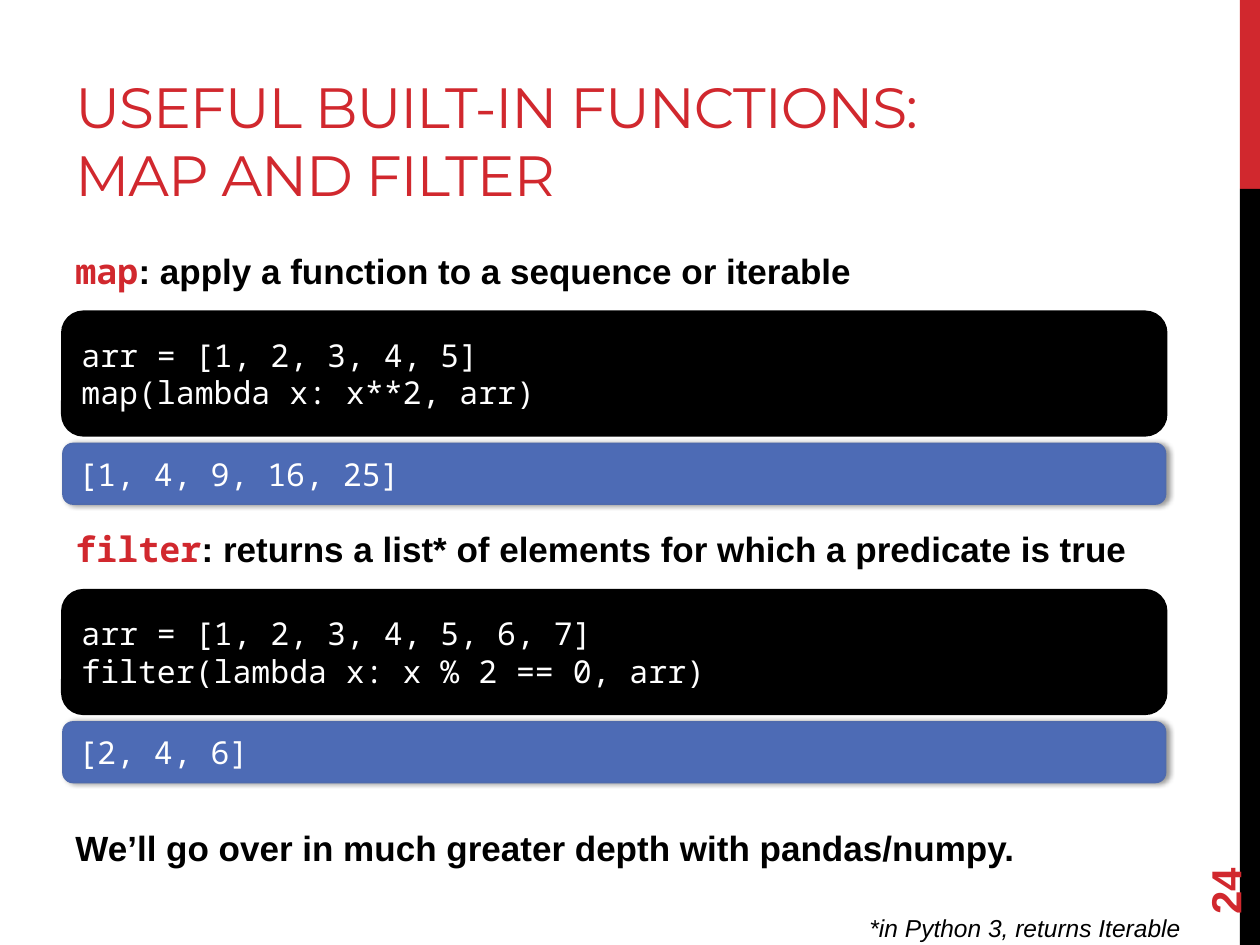
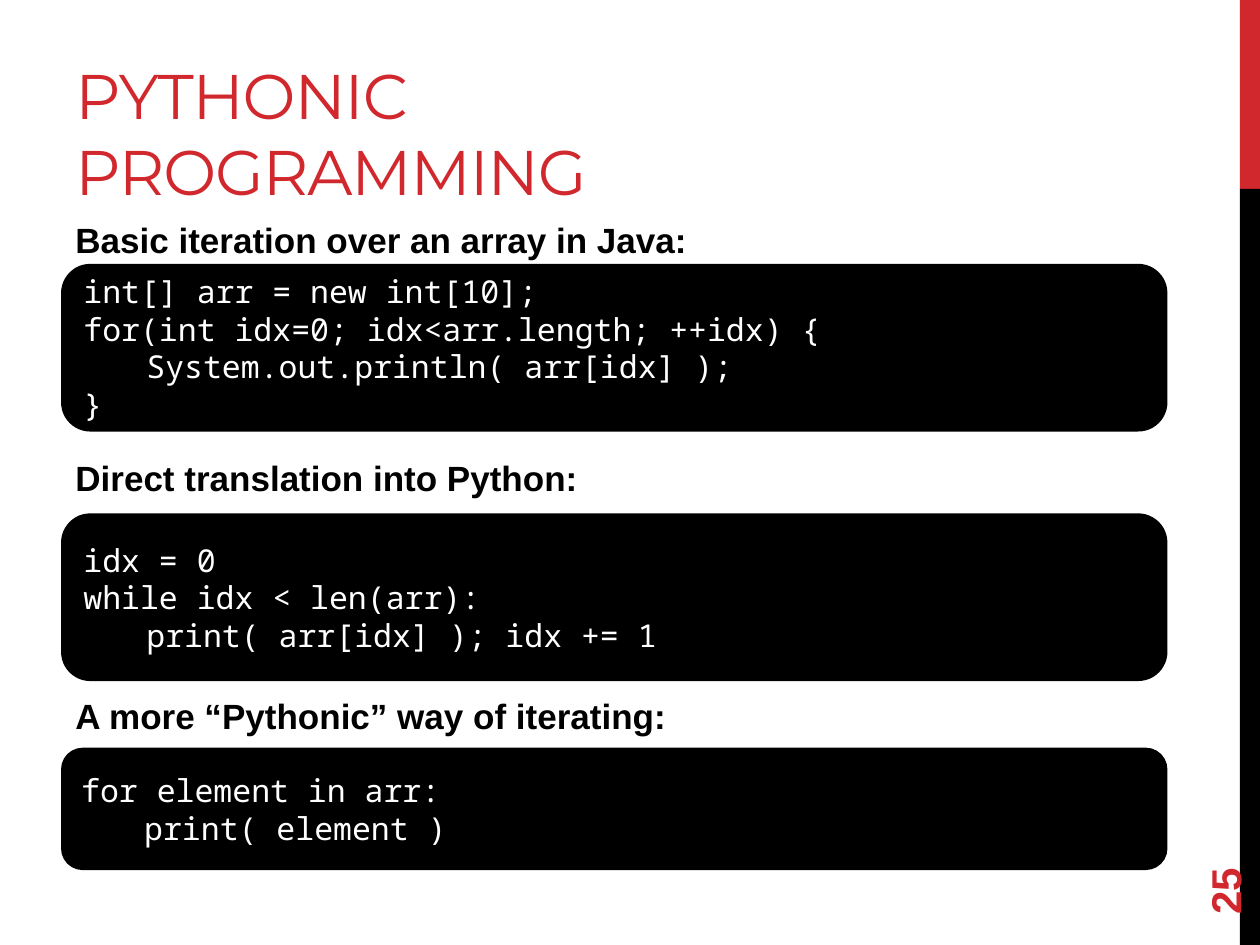
from dataclasses import dataclass

from lxml import etree
from pptx import Presentation
from pptx.dml.color import RGBColor
from pptx.enum.shapes import MSO_SHAPE
from pptx.enum.text import MSO_ANCHOR, PP_ALIGN
from pptx.oxml.ns import qn
from pptx.util import Inches, Pt

RECT, ROUNDED = MSO_SHAPE.RECTANGLE, MSO_SHAPE.ROUNDED_RECTANGLE
MIDDLE, BOTTOM = MSO_ANCHOR.MIDDLE, MSO_ANCHOR.BOTTOM
LEFT, RIGHT = PP_ALIGN.LEFT, PP_ALIGN.RIGHT
BLANK = 6


@dataclass(frozen=True)
class Theme:
    red: str = "D1282E"
    black: str = "000000"
    white: str = "FFFFFF"
    blue: str = "4D6BB5"
    blue_line: str = "4E6AAE"
    title_font: str = "Montserrat"
    text_font: str = "Arial"
    code_font: str = "Noto Sans Mono"
    heading_size: float = 20
    code_size: float = 18
    code_leading: float = 21.5
    number_size: float = 24
    note_size: float = 14


class Deck:
    """Style and current slide; lengths are cells of a 40 x 30 grid."""

    COLS, ROWS = 40, 30
    MARGIN, WIDTH = 2, 35

    def __init__(self, prs, theme):
        self.prs, self.theme = prs, theme

    def place(self, left, top, width, height):
        col = self.prs.slide_width / self.COLS
        row = self.prs.slide_height / self.ROWS
        return (round(left * col), round(top * row),
                round(width * col), round(height * row))

    def style(self, r, font, size, color, bold=False, italic=False):
        r.font.name, r.font.size = font, Pt(size)
        r.font.bold, r.font.italic = bold, italic
        r.font.color.rgb = RGBColor.from_string(color)

    def shape(self, kind, cells, fill, line=None, line_width=1):
        s = self.slide.shapes.add_shape(kind, *self.place(*cells))
        s.shadow.inherit = False
        s.fill.solid()
        s.fill.fore_color.rgb = RGBColor.from_string(fill)
        if line:
            s.line.color.rgb = RGBColor.from_string(line)
            s.line.width = Pt(line_width)
        else:
            s.line.fill.background()
        return s

    def text(self, cells, text, anchor=MIDDLE, align=LEFT):
        s = self.slide.shapes.add_textbox(*self.place(*cells))
        tf = s.text_frame
        tf.word_wrap, tf.vertical_anchor = True, anchor
        tf.text = text
        tf.paragraphs[0].alignment = align
        return s

    def new_slide(self, number):
        t = self.theme
        self.slide = self.prs.slides.add_slide(self.prs.slide_layouts[BLANK])
        self.shape(RECT, (39.36, 0, 0.64, 6), t.red)
        self.shape(RECT, (39.36, 6, 0.64, 24), t.black)
        s = self.text((36, 25.76, 5.76, 1.6), str(number))
        s.rotation = 270
        self.style(s.text_frame.paragraphs[0].runs[0],
                   t.text_font, t.number_size, t.red, bold=True)

    def title(self, text, width, size):
        s = self.text((self.MARGIN, 0.68, width, 6), text, BOTTOM)
        s.text_frame.margin_bottom = Inches(0.02)
        r = s.text_frame.paragraphs[0].runs[0]
        self.style(r, self.theme.title_font, size, self.theme.red)
        r.font._element.set("spc", "-60")

    def heading(self, middle, text, keyword=""):
        """Bold line centred on a row, led by an optional red code word."""
        t = self.theme
        s = self.text((self.MARGIN, middle - 1, self.WIDTH, 2), keyword)
        p = s.text_frame.paragraphs[0]
        for r in p.runs:
            self.style(r, t.code_font, t.heading_size, t.red, bold=True)
        r = p.add_run()
        r.text = text
        self.style(r, t.text_font, t.heading_size, t.black, bold=True)

    def code_panel(self, top, height, text, fill, line, line_width):
        t = self.theme
        s = self.shape(ROUNDED, (self.MARGIN, top, self.WIDTH, height),
                       fill, line, line_width)
        tf = s.text_frame
        tf.word_wrap, tf.vertical_anchor = True, MIDDLE
        tf.text = text
        for p in tf.paragraphs:
            if p.text.startswith("\t"):
                tabs = etree.SubElement(p._p.get_or_add_pPr(), qn("a:tabLst"))
                etree.SubElement(tabs, qn("a:tab"),
                                 pos=str(Inches(0.5)), algn="l")
            p.alignment = LEFT
            p.line_spacing = Pt(t.code_leading)
            for r in p.runs:
                self.style(r, t.code_font, t.code_size, t.white)
        return s

    def code(self, top, height, text):
        black = self.theme.black
        self.code_panel(top, height, text, black, black, 2.25)

    def output(self, top, text):
        t = self.theme
        s = self.code_panel(top, 1.92, text, t.blue, t.blue_line, 1)
        effects = s._element.spPr.find(qn("a:effectLst"))
        shadow = etree.SubElement(effects, qn("a:outerShdw"),
                                  blurRad=str(Pt(3.1)), dist=str(Pt(1.8)), dir="0")
        color = etree.SubElement(shadow, qn("a:srgbClr"), val=t.black)
        etree.SubElement(color, qn("a:alpha"), val="40000")

    def footnote(self, text):
        t = self.theme
        s = self.text((23.32, 28.76, 14.56, 1.36), text, align=RIGHT)
        self.style(s.text_frame.paragraphs[0].runs[0],
                   t.text_font, t.note_size, t.black, italic=True)


def map_and_filter(deck):
    deck.new_slide(24)
    deck.title("USEFUL BUILT-IN FUNCTIONS: MAP AND FILTER", 30.2, 32.4)
    examples = [
        ("map", ": apply a function to a sequence or iterable",
         "arr = [1, 2, 3, 4, 5]\nmap(lambda x: x**2, arr)",
         "[1, 4, 9, 16, 25]"),
        ("filter", ": returns a list* of elements for which a predicate is true",
         "arr = [1, 2, 3, 4, 5, 6, 7]\nfilter(lambda x: x % 2 == 0, arr)",
         "[2, 4, 6]"),
    ]
    for i, (keyword, meaning, code, result) in enumerate(examples):
        top = 9.92 + i * 8.84
        deck.heading(top - 1.34, meaning, keyword)
        deck.code(top, 3.88, code)
        deck.output(top + 4.16, result)
    deck.heading(26.92, "We’ll go over in much greater depth with pandas/numpy.")
    deck.footnote("*in Python 3, returns Iterable")


def pythonic_programming(deck):
    deck.new_slide(25)
    deck.title("PYTHONIC PROGRAMMING", 25.32, 36)
    examples = [
        ("Basic iteration over an array in Java:", 8.44, 5.2,
         "int[] arr = new int[10];\n"
         "for(int idx=0; idx<arr.length; ++idx) {\n"
         "\tSystem.out.println( arr[idx] );\n}"),
        ("Direct translation into Python:", 16.36, 5.2,
         "idx = 0\nwhile idx < len(arr):\n\tprint( arr[idx] ); idx += 1"),
        ("A more “Pythonic” way of iterating:", 23.8, 3.76,
         "for element in arr:\n\tprint( element )"),
    ]
    for i, (heading, top, height, code) in enumerate(examples):
        deck.heading(7.6 + i * 7.56, heading)
        deck.code(top, height, code)


def main():
    prs = Presentation()
    prs.slide_width, prs.slide_height = Inches(10), Inches(7.5)
    deck = Deck(prs, Theme())
    map_and_filter(deck)
    pythonic_programming(deck)
    prs.save("out.pptx")


if __name__ == "__main__":
    main()
